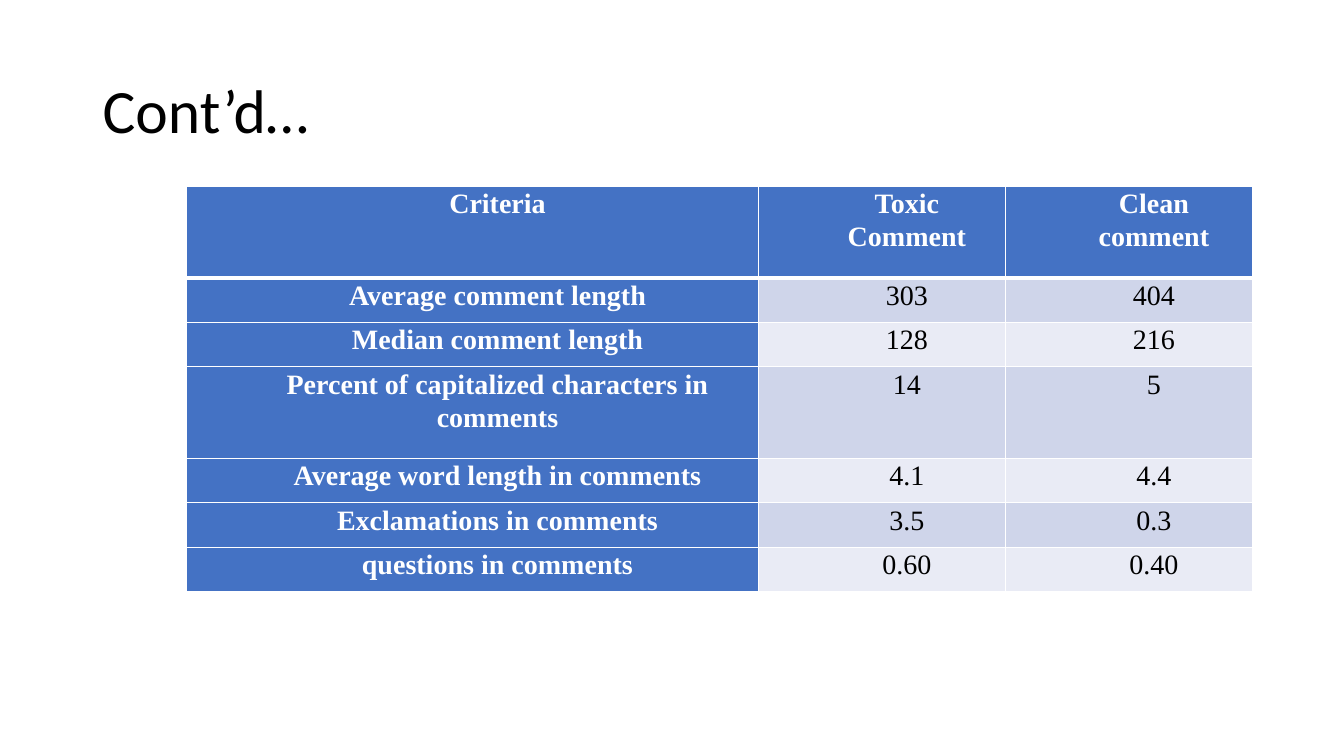
"""Build a slide with a table comparing toxic and clean comments."""
from dataclasses import dataclass

from lxml.etree import SubElement as Sub
from pptx import Presentation
from pptx.dml.color import RGBColor as RGB
from pptx.enum.text import MSO_ANCHOR as Anchor, PP_ALIGN as Align
from pptx.oxml.ns import qn
from pptx.util import Inches, Pt

TITLE = "Cont’d…"
ROWS = [
    ("Criteria", "Toxic Comment", "Clean comment"),
    ("Average comment length", "303", "404"),
    ("Median comment length", "128", "216"),
    ("Percent of capitalized characters in comments", "14", "5"),
    ("Average word length in comments", "4.1", "4.4"),
    ("Exclamations in comments", "3.5", "0.3"),
    ("questions in comments", "0.60", "0.40"),
]
WIDTHS = (5.67, 2.45, 2.45)
TALL, SHORT = 0.91, 0.44
TALL_ROWS = (0, 3)


@dataclass
class Theme:
    head: str = "4472C4"
    bands: tuple = ("E9EBF5", "CFD5EA")
    white: str = "FFFFFF"
    black: str = "000000"
    title_font: str = "Calibri"
    cell_font: str = "Times New Roman"
    title_size: int = 44
    cell_size: int = 20
    thin: int = 1
    thick: int = 3


theme = Theme()


def style(par, name, size, color, bold=False):
    for run in par.runs:
        font = run.font
        font.name, font.size, font.bold = name, Pt(size), bold
        font.color.rgb = RGB.from_string(color)


def add_title(slide):
    box = slide.shapes.add_textbox(Inches(0.92), Inches(0.4), Inches(11.5), Inches(1.45))
    frame = box.text_frame
    frame.word_wrap = True
    frame.vertical_anchor = Anchor.MIDDLE
    frame.text = TITLE
    par = frame.paragraphs[0]
    par.line_spacing = 0.9
    style(par, theme.title_font, theme.title_size, theme.black)


def add_edges(cell, row):
    props = cell._tc.get_or_add_tcPr()
    thick = {0: "lnB", 1: "lnT"}.get(row)
    for side in ("lnL", "lnR", "lnT", "lnB"):
        width = theme.thick if side == thick else theme.thin
        line = Sub(props, qn(f"a:{side}"), w=str(Pt(width)))
        fill = Sub(line, qn("a:solidFill"))
        Sub(fill, qn("a:srgbClr"), val=theme.white)


def fill_cell(cell, text, row, col):
    head = row == 0 or col == 0
    cell.margin_left = cell.margin_right = Inches(0.07)
    cell.margin_top = cell.margin_bottom = 0
    add_edges(cell, row)
    cell.fill.solid()
    cell.fill.fore_color.rgb = RGB.from_string(theme.head if head else theme.bands[row % 2])
    cell.text_frame.text = text
    par = cell.text_frame.paragraphs[0]
    par.alignment = Align.CENTER
    par.line_spacing = 1.07
    if col == len(WIDTHS) - 1:
        par.space_after = Pt(8)
    props = par._p.get_or_add_pPr()
    props.set("marL", str(Inches(0.5)))
    props.set("indent", "0")
    style(par, theme.cell_font, theme.cell_size, theme.white if head else theme.black, head)


def add_grid(slide):
    heights = [TALL if row in TALL_ROWS else SHORT for row in range(len(ROWS))]
    table = slide.shapes.add_table(
        len(ROWS), len(WIDTHS), Inches(1.85), Inches(1.85),
        Inches(sum(WIDTHS)), Inches(sum(heights))).table
    table.first_col = True
    for col, width in zip(table.columns, WIDTHS):
        col.width = Inches(width)
    for row, height in zip(table.rows, heights):
        row.height = Inches(height)
    for row, texts in enumerate(ROWS):
        for col, text in enumerate(texts):
            fill_cell(table.cell(row, col), text, row, col)


def main():
    deck = Presentation()
    deck.slide_width, deck.slide_height = Inches(13.33), Inches(7.5)
    slide = deck.slides.add_slide(deck.slide_layouts[6])
    add_title(slide)
    add_grid(slide)
    deck.save("out.pptx")


if __name__ == "__main__":
    main()
